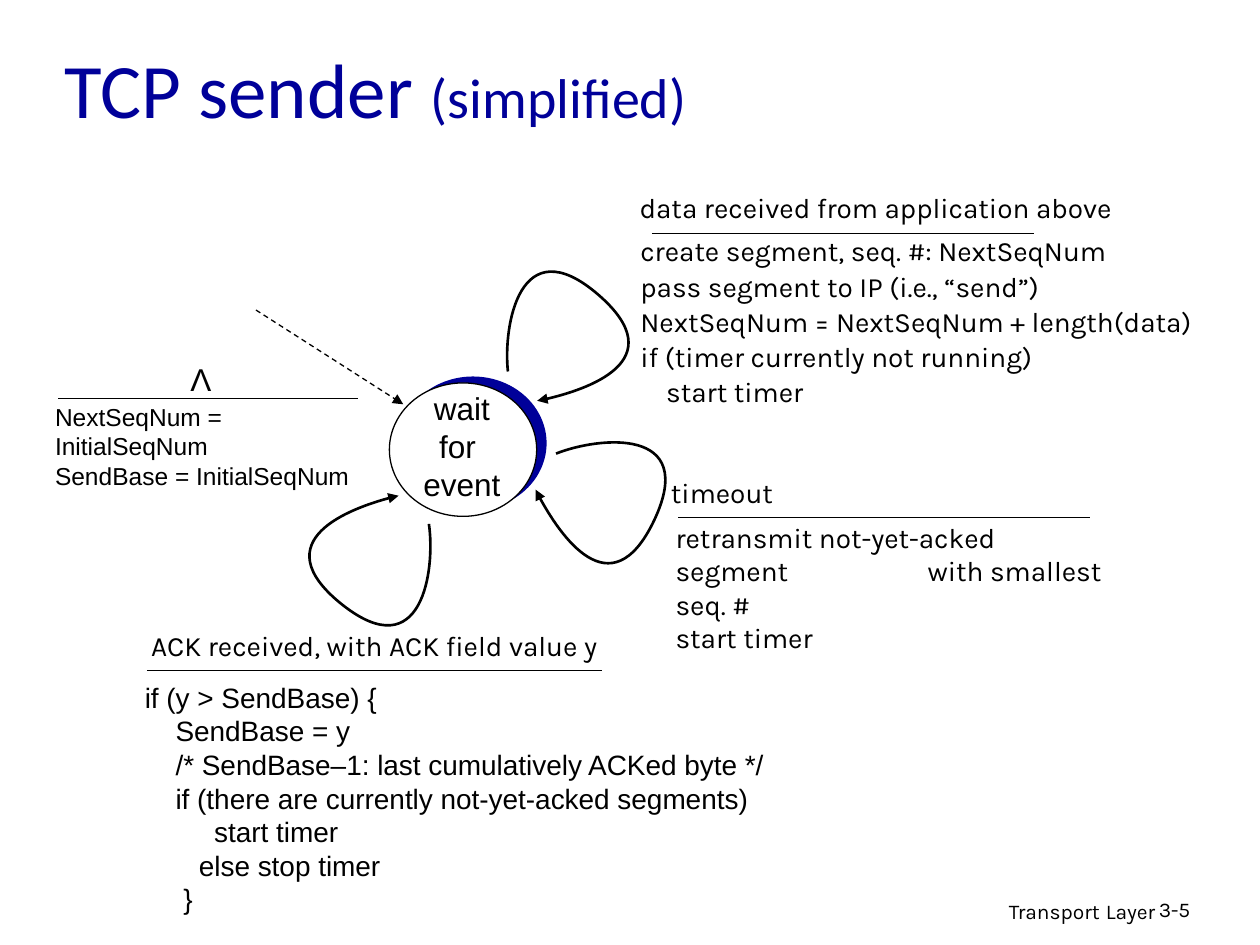
from lxml import etree
from pptx import Presentation
from pptx.dml.color import RGBColor
from pptx.enum import dml, shapes, text
from pptx.oxml.ns import qn
from pptx.util import Cm, Pt

BLACK = RGBColor(0x00, 0x00, 0x00)
WHITE = RGBColor(0xFF, 0xFF, 0xFF)
NAVY = RGBColor(0x00, 0x00, 0x99)
SANS, LABEL, HEADING = "Arial", "Karla", "Calibri"
LEFT, CENTER, RIGHT = text.PP_ALIGN.LEFT, text.PP_ALIGN.CENTER, text.PP_ALIGN.RIGHT
# Start point of the loop, then three control points for each of its two curves
LOOP = [(0.1, 2.92), (0, 2.01), (0.33, 0), (1.92, 1.37),
        (3.48, 2.72), (1.35, 3.4), (0.69, 3.51)]


def add_text(slide, box, paragraphs, *, size=16, font=LABEL, color=BLACK, align=LEFT,
             wrap=False, anchor=text.MSO_ANCHOR.TOP, spacing=None, indents=(), tab=None):
    """Each paragraph is a string, or a list of (string, size) runs; lengths are in cm."""
    frame = slide.shapes.add_textbox(*map(Cm, box)).text_frame
    frame.word_wrap = wrap
    if not wrap:
        frame.auto_size = text.MSO_AUTO_SIZE.SHAPE_TO_FIT_TEXT
    frame.vertical_anchor = anchor
    for index, content in enumerate(paragraphs):
        paragraph = frame.paragraphs[0] if index == 0 else frame.add_paragraph()
        paragraph.alignment = align
        if spacing:
            paragraph.line_spacing = spacing
        properties = paragraph._p.get_or_add_pPr()
        if index < len(indents):
            properties.set("marL", str(Cm(indents[index])))
        if tab:
            stops = etree.SubElement(properties, qn("a:tabLst"))
            etree.SubElement(stops, qn("a:tab"), pos=str(Cm(tab)), algn="l")
        runs = [(content, size)] if isinstance(content, str) else content
        for words, run_size in runs:
            run = paragraph.add_run()
            run.text = words
            run.font.name = font
            run.font.size = Pt(run_size)
            run.font.color.rgb = color


def style_line(shape, width, arrow=False):
    shape.line.color.rgb = BLACK
    shape.line.width = Pt(width)
    if arrow:
        etree.SubElement(shape.line._get_or_add_ln(), qn("a:tailEnd"), type="triangle")


def add_line(slide, start, end, dashed=False, arrow=False):
    line = slide.shapes.add_connector(
        shapes.MSO_CONNECTOR.STRAIGHT, *map(Cm, (*start, *end)))
    if dashed:
        line.line.dash_style = dml.MSO_LINE.DASH
    style_line(line, 0.75, arrow)
    etree.SubElement(line._element.spPr, qn("a:effectLst"))


def add_disc(slide, box, color, outlined=False):
    disc = slide.shapes.add_shape(shapes.MSO_SHAPE.OVAL, *map(Cm, box))
    disc.shadow.inherit = False
    disc.fill.solid()
    disc.fill.fore_color.rgb = color
    if outlined:
        style_line(disc, 0.75)
    else:
        disc.line.fill.background()


def add_loop(slide, left, top, rotation):
    """Self-transition arrow: the straight segments are regrouped into cubic curves."""
    points = [(Cm(left + x), Cm(top + y)) for x, y in LOOP]
    builder = slide.shapes.build_freeform(*points[0])
    builder.add_line_segments(points[1:], close=False)
    loop = builder.convert_to_shape()
    segments = list(loop._element.iter(qn("a:lnTo")))
    outline = segments[0].getparent()
    for first in range(0, len(segments), 3):
        curve = etree.SubElement(outline, qn("a:cubicBezTo"))
        for segment in segments[first:first + 3]:
            curve.append(segment[0])
            outline.remove(segment)
    loop.rotation = rotation
    loop.shadow.inherit = False
    loop.fill.background()
    style_line(loop, 1.5, arrow=True)


def add_state(slide, box):
    left, top, width, height = box
    add_disc(slide, (left + 0.2, top - 0.13, width, height), NAVY)
    add_disc(slide, box, WHITE, outlined=True)
    add_text(slide, (left + 0.43, top, 2.06, 2.54), ["wait", "for ", "event"],
             size=18, font=SANS, align=CENTER)
    add_line(slide, (left - 2.69, top - 1.47), (left + 0.28, top + 0.43),
             dashed=True, arrow=True)
    for x, y, rotation in ((2.29, -3.15, 0), (3.18, 0.94, 74.5), (-2.54, 2.31, 177.9)):
        add_loop(slide, left + x, top + y, rotation)


def add_transition(slide, rule, event, event_box, actions, action_box,
                   event_format=None, **action_format):
    """Event above a rule (left, top, width), actions below; boxes are relative to the rule."""
    left, top, width = rule

    def place(box):
        return (left + box[0], top + box[1], *box[2:])

    add_text(slide, place(event_box), [event], align=CENTER, **(event_format or {}))
    add_line(slide, (left, top), (left + width, top))
    add_text(slide, place(action_box), actions, **action_format)


def add_title(slide, box):
    add_text(slide, box, [[("TCP sender ", 44), ("(simplified)", 32)]], font=HEADING,
             color=NAVY, wrap=True, anchor=text.MSO_ANCHOR.MIDDLE)


def add_footer(slide, box):
    left, top, width, height = box
    add_text(slide, (left, top, 8.05, height),
             [[("Transport", 12), (" ", 14), ("Layer", 12)]], align=RIGHT, wrap=True)
    add_text(slide, (left + 7.62, top + 0.04, width - 7.62, height), ["3-5"],
             size=12, wrap=True)


def main():
    deck = Presentation()
    deck.slide_width, deck.slide_height = Cm(25.4), Cm(19.05)
    slide = deck.slides.add_slide(deck.slide_layouts[6])

    add_title(slide, (1.05, 0.53, 21.49, 2.49))
    add_state(slide, (7.85, 7.72, 2.97, 2.69))
    add_transition(
        slide, (1.17, 8.03, 6.05), "Λ", (2.41, -0.89, 0.94, 1.02),
        ["NextSeqNum = InitialSeqNum", "SendBase = InitialSeqNum"],
        (-0.31, -0.05, 7.09, 1.45),
        event_format={"size": 18, "font": SANS}, size=14, font=SANS)
    add_transition(
        slide, (13.14, 4.7, 7.7), "data received from application above",
        (-0.64, -0.99, 10.31, 0.94),
        ["create segment, seq. #: NextSeqNum", "pass segment to IP (i.e., “send”)",
         "NextSeqNum = NextSeqNum + length(data)", "if (timer currently not running)",
         "start timer"],
        (-0.48, -0.14, 12.14, 3.8), spacing=1.05, indents=(0, 0, 0, 0, 0.52))
    add_transition(
        slide, (13.67, 10.43, 8.31), "timeout", (-0.41, -0.96, 2.59, 0.94),
        ["retransmit not-yet-acked segment\twith smallest seq. #", "start timer"],
        (-0.3, -0.07, 9.14, 2.97), wrap=True, tab=5.08)
    add_transition(
        slide, (2.96, 13.51, 9.17), "ACK received, with ACK field value y ",
        (-0.36, -0.96, 10.03, 0.94),
        ["if (y > SendBase) {", "SendBase = y",
         "/* SendBase–1: last cumulatively ACKed byte */",
         "if (there are currently not-yet-acked segments)",
         "start timer", "else stop timer", "}"],
        (-0.29, 0.08, 13.03, 5), font=SANS,
        indents=(0, 0.62, 0.62, 0.62, 1.4, 1.09, 0.78))
    add_footer(slide, (15.49, 17.91, 9.5, 0.78))

    deck.save("out.pptx")


if __name__ == "__main__":
    main()
